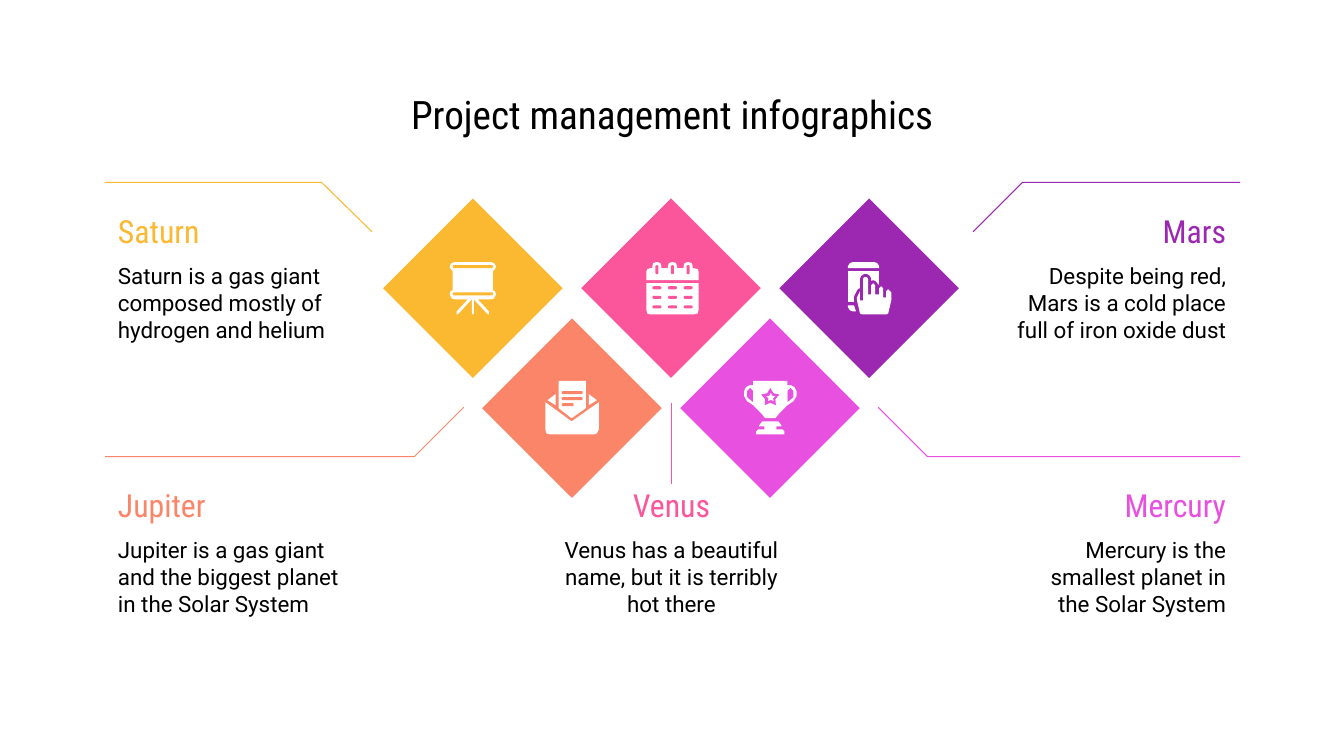
from lxml import etree
from pptx import Presentation
from pptx.dml.color import RGBColor
from pptx.enum.shapes import MSO_CONNECTOR, MSO_SHAPE
from pptx.enum.text import MSO_ANCHOR, MSO_AUTO_SIZE, PP_ALIGN
from pptx.oxml.ns import qn
from pptx.util import Inches, Pt

RECTANGLE, ROUNDED, STAR = MSO_SHAPE.RECTANGLE, MSO_SHAPE.ROUNDED_RECTANGLE, MSO_SHAPE.STAR_5_POINT
STRAIGHT = MSO_CONNECTOR.STRAIGHT
LEFT, CENTER, RIGHT = PP_ALIGN.LEFT, PP_ALIGN.CENTER, PP_ALIGN.RIGHT

COLORS = {
    "text": "000000", "white": "FFFFFF", "saturn": "FBB831", "jupiter": "FB8569",
    "venus": "FB569C", "mercury": "E850E0", "mars": "9C27B0",
}
FRAME_FORMAT = {
    "word_wrap": True, "auto_size": MSO_AUTO_SIZE.NONE, "vertical_anchor": MSO_ANCHOR.MIDDLE,
    "margin_left": Inches(0.13), "margin_right": Inches(0.13),
    "margin_top": Inches(0.13), "margin_bottom": Inches(0.13),
}
TITLE_FONT = {"name": "Roboto Condensed", "size": Pt(28), "bold": False}
HEADING_FONT = {"name": "Roboto Condensed", "size": Pt(22.7)}
BODY_FONT = {"name": "Roboto", "size": Pt(16)}

# planet, description, alignment, heading top, heading left and width, body left and width
PLANETS = [
    ("Saturn", "Saturn is a gas giant composed mostly of hydrogen and helium",
     LEFT, 2.08, (1.04, 2.15), (1.04, 2.54)),
    ("Jupiter", "Jupiter is a gas giant and the biggest planet in the Solar System",
     LEFT, 4.8, (1.04, 2.15), (1.04, 2.54)),
    ("Venus", "Venus has a beautiful name, but it is terribly hot there",
     CENTER, 4.8, (5.41, 2.5), (5.41, 2.5)),
    ("Mercury", "Mercury is the smallest planet in\nthe Solar System",
     RIGHT, 4.8, (10.14, 2.15), (9.75, 2.54)),
    ("Mars", "Despite being red, Mars is a cold place full of iron oxide dust",
     RIGHT, 2.08, (10.14, 2.15), (9.75, 2.54)),
]
LEADERS = {
    "saturn": [(3.69, 2.3), (3.19, 1.81), (1.04, 1.81)],
    "jupiter": [(4.6, 4.04), (4.11, 4.53), (1.04, 4.53)],
    "mercury": [(8.71, 4.04), (9.2, 4.53), (12.3, 4.53)],
    "mars": [(9.65, 2.3), (10.14, 1.81), (12.3, 1.81)],
}
HAND = [
    (8.56, 2.77), (8.57, 2.75), (8.6, 2.75), (8.61, 2.77), (8.61, 2.92), (8.64, 2.92),
    (8.64, 2.83), (8.66, 2.81), (8.68, 2.83), (8.68, 2.92), (8.72, 2.92), (8.72, 2.86),
    (8.74, 2.84), (8.76, 2.86), (8.76, 2.95), (8.79, 2.95), (8.79, 2.89), (8.81, 2.87),
    (8.84, 2.9), (8.84, 2.98), (8.81, 3.11), (8.79, 3.12), (8.55, 3.12), (8.53, 3.11),
    (8.5, 2.98), (8.5, 2.95), (8.53, 2.89), (8.53, 2.98), (8.56, 2.98),
]
PHONE_PARTS = [
    [(8.41, 2.66), (8.41, 2.64), (8.43, 2.61), (8.46, 2.6), (8.67, 2.6), (8.7, 2.61),
     (8.72, 2.64), (8.72, 2.66)],
    [(8.41, 2.69), (8.72, 2.69), (8.72, 3), (8.41, 3)],
    [(8.41, 3.03), (8.47, 3.03), (8.49, 3.09), (8.46, 3.09), (8.43, 3.08), (8.41, 3.05)],
]
BOARD_AXIS = 4.69
BOARD_HALF = [
    (4.69, 2.6), (4.51, 2.6), (4.48, 2.61), (4.46, 2.64), (4.47, 2.67), (4.49, 2.69),
    (4.49, 2.88), (4.47, 2.89), (4.46, 2.92), (4.48, 2.96), (4.51, 2.97), (4.64, 2.97),
    (4.53, 3.09), (4.53, 3.12), (4.55, 3.11), (4.68, 2.97), (4.68, 3.11), (4.69, 3.12),
]
CALENDAR_BODY = [(6.41, 2.81), (6.93, 2.81), (6.93, 3.07), (6.92, 3.11), (6.88, 3.12),
                 (6.45, 3.12), (6.42, 3.11), (6.41, 3.07)]
TROPHY_AXIS = 7.64
CUP_HALF = [(7.47, 3.78), (7.47, 3.98), (7.48, 4.03), (7.55, 4.1), (7.59, 4.15)]
BASE_HALF = [(7.56, 4.18), (7.53, 4.22), (7.53, 4.23), (7.58, 4.23), (7.58, 4.26),
             (7.52, 4.26), (7.5, 4.28), (7.5, 4.31)]
HANDLE = [(7.5, 3.82), (7.44, 3.82), (7.4, 3.84), (7.38, 3.88), (7.38, 3.93),
          (7.41, 3.98), (7.5, 4.04)]
HANDLE_HOLE = [(7.44, 3.85), (7.47, 3.88), (7.47, 3.99), (7.41, 3.94), (7.41, 3.88)]


def rgb(color):
    return RGBColor.from_string(COLORS[color])


def write(shape, text, color, alignment, font_format):
    for name, value in FRAME_FORMAT.items():
        setattr(shape.text_frame, name, value)
    paragraph = shape.text_frame.paragraphs[0]
    paragraph.text = text
    paragraph.alignment = alignment
    for run in paragraph.runs:
        for name, value in font_format.items():
            setattr(run.font, name, value)
        run.font.color.rgb = rgb(color)


def add_text(slide, text, color, alignment, font_format, left, top, width, height):
    box = slide.shapes.add_textbox(Inches(left), Inches(top), Inches(width), Inches(height))
    write(box, text, color, alignment, font_format)
    return box


def add_solid(slide, color, left, top, width, height, kind=RECTANGLE, adjustment=None):
    """Add a preset shape without outline."""
    shape = slide.shapes.add_shape(kind, Inches(left), Inches(top), Inches(width), Inches(height))
    if adjustment is not None:
        shape.adjustments[0] = adjustment
    shape.shadow.inherit = False
    shape.fill.solid()
    shape.fill.fore_color.rgb = rgb(color)
    shape.line.fill.background()
    return shape


def add_capsule(slide, color, left, top, width, height):
    add_solid(slide, color, left, top, width, height, ROUNDED, 0.5)


def add_path(slide, points, fill=None, line=None, width=0.75):
    """Add a closed outline if it has a fill, else an open line."""
    start, *others = [(Inches(x), Inches(y)) for x, y in points]
    builder = slide.shapes.build_freeform(*start)
    builder.add_line_segments(others, close=fill is not None)
    shape = builder.convert_to_shape()
    shape.shadow.inherit = False
    if fill:
        shape.fill.solid()
        shape.fill.fore_color.rgb = rgb(fill)
    else:
        shape.fill.background()
    if line:
        shape.line.color.rgb = rgb(line)
        shape.line.width = Pt(width)
    else:
        shape.line.fill.background()


def add_line(slide, color, start, end):
    line = slide.shapes.add_connector(STRAIGHT, *[Inches(value) for value in (*start, *end)])
    line.line.color.rgb = rgb(color)
    line.line.width = Pt(0.75)
    etree.SubElement(line._element.spPr, qn("a:effectLst"))
    return line


def mirror(points, axis):
    return [(2 * axis - x, y) for x, y in points]


def draw_board(slide, color):
    add_path(slide, BOARD_HALF + mirror(BOARD_HALF, BOARD_AXIS)[::-1], "white")
    for top in (2.63, 2.9):
        add_capsule(slide, color, 4.49, top, 0.4, 0.03)


def draw_envelope(slide, color):
    add_path(slide, [(5.41, 3.99), (5.67, 4.18), (5.94, 3.99), (5.94, 4.26), (5.92, 4.3),
                     (5.89, 4.31), (5.46, 4.31), (5.42, 4.3), (5.41, 4.26)], "white")
    add_path(slide, [(5.84, 3.91), (5.92, 3.97), (5.84, 4.02)], "white")
    add_path(slide, [(5.51, 3.91), (5.43, 3.97), (5.51, 4.02)], "white")
    add_path(slide, [(5.54, 3.78), (5.81, 3.78), (5.81, 4.05), (5.67, 4.15), (5.54, 4.05)], "white")
    for row, width in enumerate((0.21, 0.21, 0.12)):
        add_capsule(slide, color, 5.57, 3.88 + 0.06 * row, width, 0.03)


def draw_calendar(slide, color):
    ring_lefts = [6.47 + 0.155 * column for column in range(3)]
    header = [(6.41, 2.78), (6.41, 2.7), (6.42, 2.67), (6.45, 2.66)]
    for left in ring_lefts:
        header += [(left, 2.66), (left, 2.64), (left + 0.01, 2.61), (left + 0.04, 2.6),
                   (left + 0.05, 2.6), (left + 0.08, 2.61), (left + 0.09, 2.64),
                   (left + 0.09, 2.66)]
    header += [(6.88, 2.66), (6.92, 2.67), (6.93, 2.7), (6.93, 2.78)]
    add_path(slide, header, "white")
    add_path(slide, CALENDAR_BODY, "white")
    for left in ring_lefts:
        add_capsule(slide, color, left + 0.03, 2.63, 0.03, 0.09)
        for row in range(3):
            add_capsule(slide, color, left, 2.84 + 0.095 * row, 0.09, 0.03)


def draw_trophy(slide, color):
    for points, fill in ((HANDLE, "white"), (HANDLE_HOLE, color)):
        add_path(slide, points, fill)
        add_path(slide, mirror(points, TROPHY_AXIS), fill)
    for half in (CUP_HALF, BASE_HALF):
        add_path(slide, half + mirror(half, TROPHY_AXIS)[::-1], "white")
    add_solid(slide, color, 7.55, 3.85, 0.18, 0.17, STAR, 0.28)
    add_solid(slide, "white", 7.6, 3.9, 0.09, 0.08, STAR, 0.25)


def draw_phone(slide, color):
    for part in PHONE_PARTS:
        add_path(slide, part, "white")
    add_path(slide, HAND, color, color, 4.25)
    add_path(slide, HAND, "white")


def main():
    presentation = Presentation()
    presentation.slide_width, presentation.slide_height = Inches(13.33), Inches(7.5)
    slide = presentation.slides.add_slide(presentation.slide_layouts[5])
    title = slide.shapes.title
    title.left, title.top, title.width, title.height = map(Inches, (1.04, 0.78, 11.25, 0.7))
    write(title, "Project management infographics", "text", CENTER, TITLE_FONT)

    icons = (draw_board, draw_envelope, draw_calendar, draw_trophy, draw_phone)
    for index, (planet, draw_icon) in enumerate(zip(PLANETS, icons)):
        name, description, alignment, top, (left, width), (body_left, body_width) = planet
        color = name.lower()
        diamond_top = 3.42 if index % 2 else 2.23
        diamond = add_solid(slide, color, 4.06 + 0.9825 * index, diamond_top, 1.26, 1.26)
        diamond.rotation = 45
        draw_icon(slide, color)
        heading = add_text(slide, name, color, alignment, HEADING_FONT, left, top, width, 0.42)
        add_text(slide, description, "text", alignment, BODY_FONT,
                 body_left, top + 0.37, body_width, 1.1)
        if color in LEADERS:
            add_path(slide, LEADERS[color], line=color)
        else:
            add_line(slide, color, (6.66, 4), (6.66, 4.8)).end_connect(heading, 0)
    presentation.save("out.pptx")


if __name__ == "__main__":
    main()
